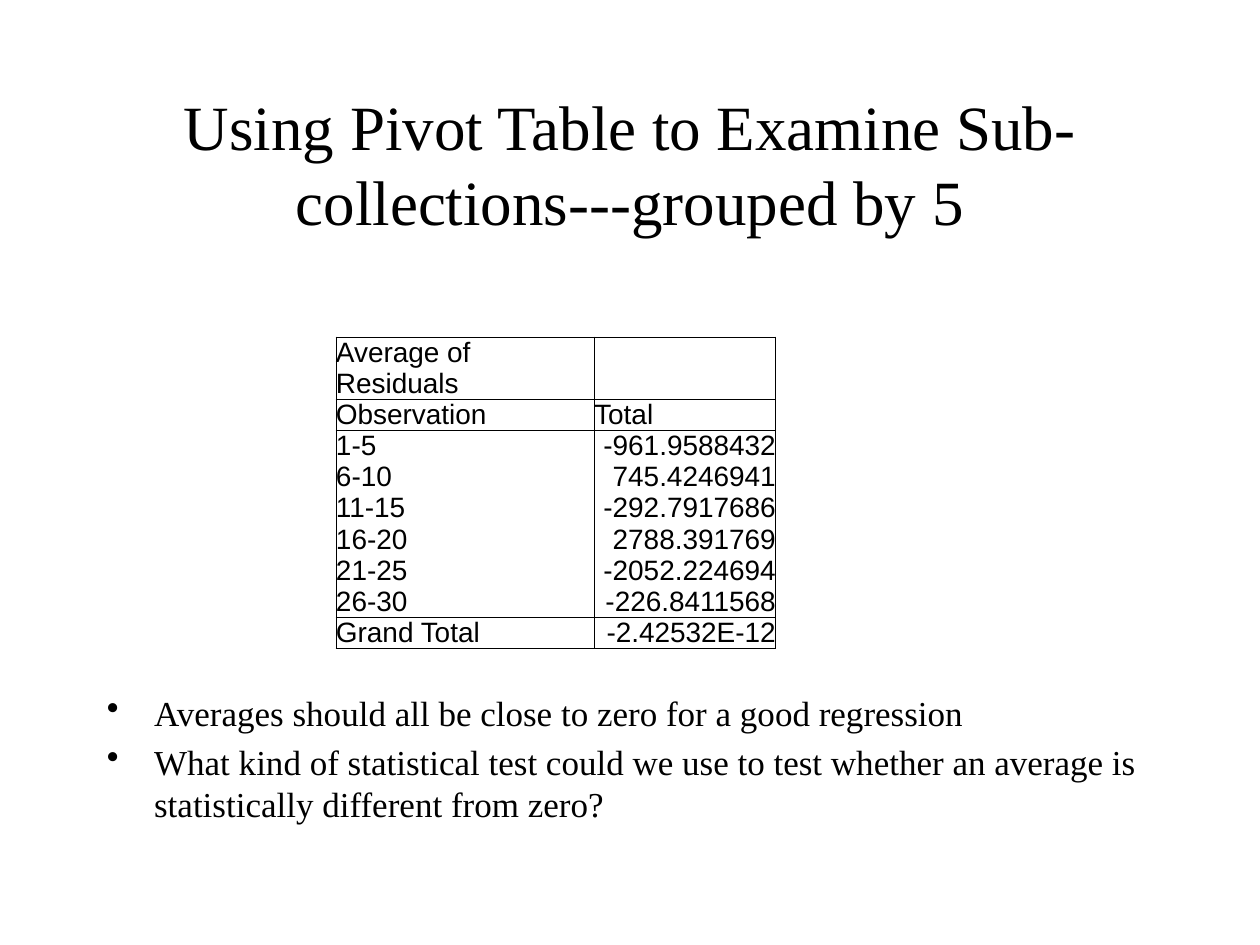
from dataclasses import dataclass

from lxml.etree import SubElement
from pptx import Presentation
from pptx.dml.color import RGBColor
from pptx.enum.text import MSO_ANCHOR, PP_ALIGN
from pptx.oxml.ns import qn
from pptx.util import Pt


@dataclass(frozen=True)
class Theme:
    ink: RGBColor = RGBColor(0, 0, 0)
    serif: str = "Times New Roman"
    sans: str = "Arial"
    title: float = 36
    body: float = 20
    table: float = 16
    spacer: float = 10
    border: float = 0.5


@dataclass(frozen=True)
class Row:
    label: str = ""
    value: str = ""
    height: float = 17.8
    edges: str = "LR"
    align: PP_ALIGN = PP_ALIGN.RIGHT


THEME = Theme()
COLUMNS = (147.6, 103.7)
ROWS = (
    Row(height=15.3, edges=""),
    Row(height=15.3, edges="B"),
    Row("Average of Residuals", height=35.6, edges="LRTB"),
    Row("Observation", "Total", edges="LRTB", align=PP_ALIGN.LEFT),
    Row("1-5", "-961.9588432", edges="LRT"),
    Row("6-10", "745.4246941"),
    Row("11-15", "-292.7917686"),
    Row("16-20", "2788.391769"),
    Row("21-25", "-2052.224694"),
    Row("26-30", "-226.8411568", edges="LRB"),
    Row("Grand Total", "-2.42532E-12", edges="LRTB"),
    Row(height=29.5, edges="T"),
)
BULLETS = (
    "Averages should all be close to zero for a good regression",
    "What kind of statistical test could we use to test whether an average is "
    "statistically different from zero?",
)


def add_span(para, text: str, font_name: str, size: float) -> None:
    span = para.add_run()
    span.text = text
    span.font.name = font_name
    span.font.size = Pt(size)
    span.font.color.rgb = THEME.ink


def set_borders(cell, edges: str) -> None:
    properties = cell._tc.get_or_add_tcPr()
    for position, edge in enumerate("LRTB"):
        line = properties.makeelement(qn(f"a:ln{edge}"), {"w": str(Pt(THEME.border))})
        if edge in edges:
            fill = SubElement(line, qn("a:solidFill"))
            SubElement(fill, qn("a:srgbClr"), val=str(THEME.ink))
        else:
            SubElement(line, qn("a:noFill"))
        properties.insert(position, line)


def fill_cell(cell, text: str, align: PP_ALIGN, edges: str) -> None:
    cell.margin_left = cell.margin_right = cell.margin_top = cell.margin_bottom = 0
    cell.vertical_anchor = MSO_ANCHOR.BOTTOM
    cell.fill.background()
    set_borders(cell, edges)
    para = cell.text_frame.paragraphs[0]
    para.alignment = align
    if text:
        add_span(para, text, THEME.sans, THEME.table)
    else:
        SubElement(para._p, qn("a:endParaRPr"), sz=str(int(THEME.spacer * 100)))


def add_residual_table(page) -> None:
    height = sum(row.height for row in ROWS)
    frame = page.shapes.add_table(
        len(ROWS), len(COLUMNS), Pt(192), Pt(162), Pt(sum(COLUMNS)), Pt(height)
    )
    table = frame.table
    table.first_row = table.horz_banding = False
    for column, width in zip(table.columns, COLUMNS):
        column.width = Pt(width)
    for index, row in enumerate(ROWS):
        table.rows[index].height = Pt(row.height)
        fill_cell(table.cell(index, 0), row.label, PP_ALIGN.LEFT, row.edges)
        fill_cell(table.cell(index, 1), row.value, row.align, row.edges)


def add_title(page) -> None:
    title = page.shapes.title
    title.left, title.top, title.width, title.height = Pt(54), Pt(48), Pt(612), Pt(90)
    title.text_frame.word_wrap = True
    title.text_frame.vertical_anchor = MSO_ANCHOR.MIDDLE
    para = title.text_frame.paragraphs[0]
    para.alignment = PP_ALIGN.CENTER
    add_span(
        para,
        "Using Pivot Table to Examine Sub-collections---grouped by 5",
        THEME.serif,
        THEME.title,
    )


def add_bullets(page) -> None:
    box = page.shapes.add_textbox(Pt(54), Pt(391.5), Pt(612), Pt(88.5))
    box.text_frame.word_wrap = True
    for index, text in enumerate(BULLETS):
        para = box.text_frame.add_paragraph() if index else box.text_frame.paragraphs[0]
        properties = para._p.get_or_add_pPr()
        properties.set("marL", str(Pt(27)))
        properties.set("indent", str(Pt(-27)))
        SubElement(properties, qn("a:buChar"), char="•")
        para.space_before = Pt(4 if index else 0)
        add_span(para, text, THEME.serif, THEME.body)


def main() -> None:
    deck = Presentation()
    deck.slide_width, deck.slide_height = Pt(720), Pt(540)
    page = deck.slides.add_slide(deck.slide_layouts[5])
    add_title(page)
    add_residual_table(page)
    add_bullets(page)
    deck.save("out.pptx")


if __name__ == "__main__":
    main()
